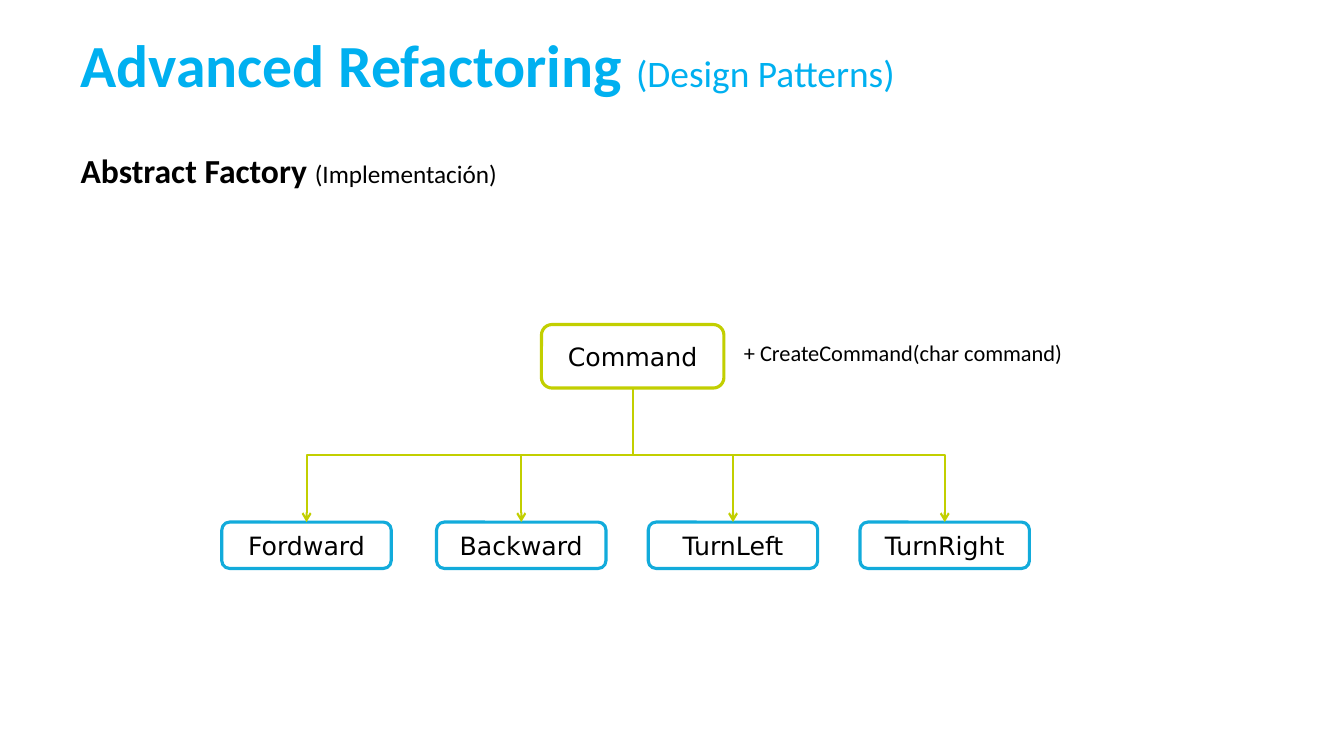
"""Build the Abstract Factory slide with its command class tree."""
import pptx
import pptx.dml.color
import pptx.enum.shapes
import pptx.enum.text
import pptx.oxml.ns
import pptx.util
from lxml import etree

Inches = pptx.util.Inches
Pt = pptx.util.Pt
RGBColor = pptx.dml.color.RGBColor
ALIGN = pptx.enum.text.PP_ALIGN
ANCHOR = pptx.enum.text.MSO_ANCHOR
SHAPE = pptx.enum.shapes.MSO_SHAPE
CONNECTOR = pptx.enum.shapes.MSO_CONNECTOR
qn = pptx.oxml.ns.qn

BLACK = RGBColor(0x00, 0x00, 0x00)
WHITE = RGBColor(0xFF, 0xFF, 0xFF)
SKY = RGBColor(0x00, 0xB0, 0xF0)
BLUE = RGBColor(0x12, 0xAB, 0xDB)
LIME = RGBColor(0xC2, 0xCF, 0x00)

TITLE = [("Advanced Refactoring ", 42.7, True), ("(Design Patterns)", 26.7, False)]
SUBTITLE = [("Abstract Factory ", 24, True), ("(Implementación)", 18, False)]
METHOD = [("+ CreateCommand(char command)", 16, False)]
PARENT = ("Command", 5.37, 3.22, 1.81, 0.63)
CHILDREN = [("Fordward", 2.2), ("Backward", 4.33), ("TurnLeft", 6.43), ("TurnRight", 8.53)]
CHILD_TOP, CHILD_WIDTH, CHILD_HEIGHT = 5.18, 1.68, 0.46


def write(shape, spans, font="Calibri", color=BLACK, align=None, anchor=ANCHOR.TOP,
          margins=(0.1, 0.05), wrap=True, line_spacing=None):
    """Fill the shape with one paragraph of formatted spans."""
    frame = shape.text_frame
    frame.word_wrap = wrap
    frame.vertical_anchor = anchor
    frame.margin_left = frame.margin_right = Inches(margins[0])
    frame.margin_top = frame.margin_bottom = Inches(margins[1])
    para = frame.paragraphs[0]
    para.alignment = align
    para.line_spacing = line_spacing
    for text, size, bold in spans:
        span = para.add_run()
        span.text = text
        span.font.name = font
        span.font.size = Pt(size)
        span.font.bold = bold
        span.font.color.rgb = color


def add_text(page, left, top, width, height, spans, **formats):
    """Add a text box."""
    box = page.shapes.add_textbox(Inches(left), Inches(top), Inches(width), Inches(height))
    write(box, spans, **formats)


def add_class(page, name, left, top, width, height, color):
    """Add a rounded, outlined class box."""
    box = page.shapes.add_shape(SHAPE.ROUNDED_RECTANGLE, Inches(left), Inches(top),
                                Inches(width), Inches(height))
    box.shadow.inherit = False
    box.fill.solid()
    box.fill.fore_color.rgb = WHITE
    box.line.color.rgb = color
    box.line.width = Pt(2.25)
    write(box, [(name, 18, False)], font="DejaVu Sans", align=ALIGN.CENTER, anchor=ANCHOR.MIDDLE)


def add_elbow(page, child_x, child_y, parent_x, parent_y):
    """Add an elbow that leaves the child upwards, with its arrowhead at the child."""
    middle_x, middle_y = (child_x + parent_x) / 2, (child_y + parent_y) / 2
    half_drop, half_span = (child_y - parent_y) / 2, abs(child_x - parent_x) / 2
    side = 1 if child_x < parent_x else -1
    elbow = page.shapes.add_connector(
        CONNECTOR.ELBOW,
        Inches(middle_x + side * half_drop), Inches(middle_y + half_span),
        Inches(middle_x - side * half_drop), Inches(middle_y - half_span))
    elbow.line.color.rgb = LIME
    elbow.line.width = Pt(1.5)
    properties = elbow.element.spPr
    degrees = 90 if side == 1 else 270
    properties.find(qn("a:xfrm")).set("rot", str(degrees * 60000))
    etree.SubElement(properties.find(qn("a:ln")), qn("a:headEnd"), type="arrow")
    etree.SubElement(properties, qn("a:effectLst"))


def main():
    """Lay out the slide and save it."""
    deck = pptx.Presentation()
    deck.slide_width, deck.slide_height = Inches(13.33), Inches(7.5)
    page = deck.slides.add_slide(deck.slide_layouts[6])

    add_text(page, 0.67, 0.3, 12, 0.75, TITLE, color=SKY, anchor=ANCHOR.MIDDLE,
             margins=(0.13, 0.07), line_spacing=0.9)
    add_text(page, 0.67, 1.42, 12, 0.97, SUBTITLE, align=ALIGN.JUSTIFY, margins=(0.13, 0.07))
    add_text(page, 7.28, 3.32, 3.37, 0.37, METHOD, wrap=False)

    add_class(page, *PARENT, LIME)
    _, left, top, width, height = PARENT
    for name, child_left in CHILDREN:
        add_class(page, name, child_left, CHILD_TOP, CHILD_WIDTH, CHILD_HEIGHT, BLUE)
        add_elbow(page, child_left + CHILD_WIDTH / 2, CHILD_TOP, left + width / 2, top + height)

    deck.save("out.pptx")


if __name__ == "__main__":
    main()
